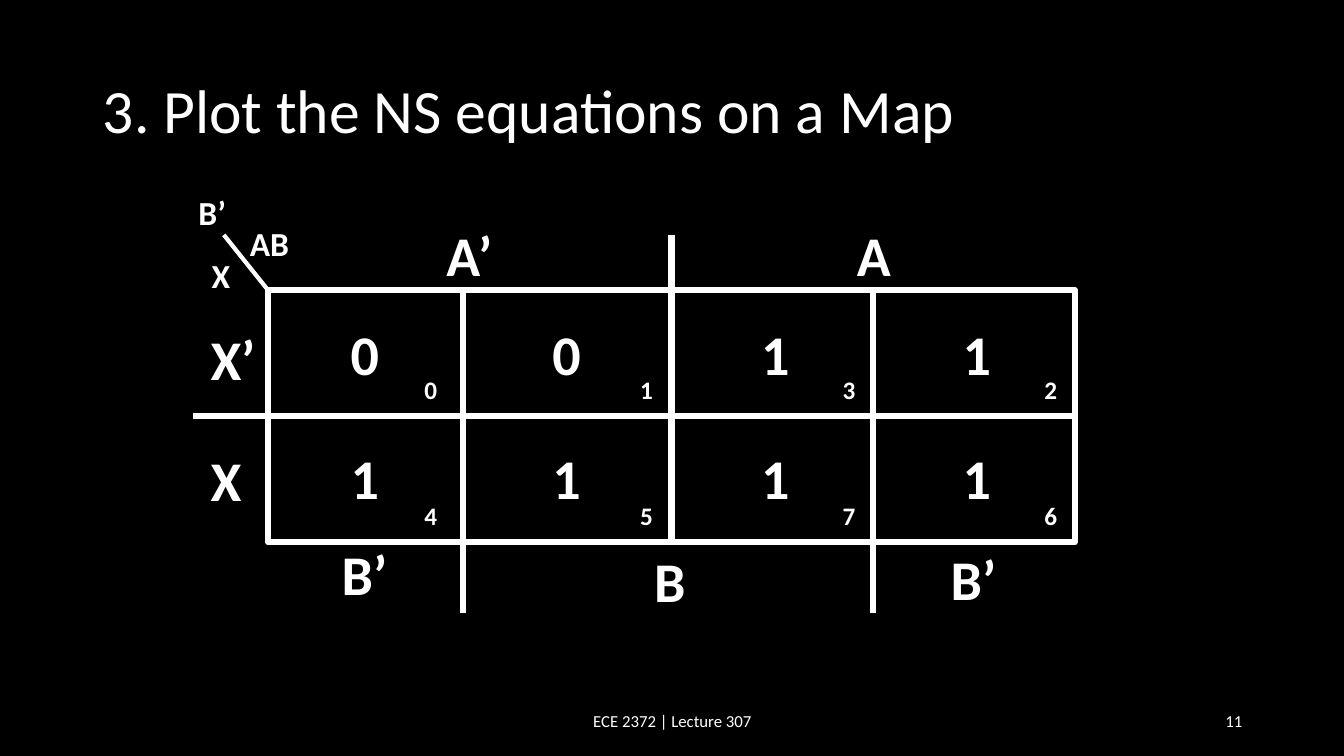
from lxml import etree
from pptx import Presentation
from pptx.dml.color import RGBColor
from pptx.enum import shapes, text
from pptx.oxml.ns import qn
from pptx.util import Inches, Pt

FONT = "Calibri"
BLACK = "000000"
WHITE = "FFFFFF"

MAP_LEFT, MAP_TOP, MAP_WIDTH, MAP_HEIGHT = 2.66, 2.88, 8, 2.5
MAP_RIGHT, MAP_BOTTOM = MAP_LEFT + MAP_WIDTH, MAP_TOP + MAP_HEIGHT
MAP_CENTER, MAP_MIDDLE = MAP_LEFT + MAP_WIDTH / 2, MAP_TOP + MAP_HEIGHT / 2

VALUE_SIZE, INDEX_SIZE, CORNER_SIZE = 40, 18, 24
BOX_HEIGHT = {VALUE_SIZE: 0.77, INDEX_SIZE: 0.4, CORNER_SIZE: 0.5}

VALUE_LEFTS, VALUE_TOPS = (3.38, 5.38, 7.45, 9.45), (3.12, 4.35)
INDEX_LEFTS, INDEX_TOPS = (4.11, 6.25, 8.26, 10.26), (3.66, 4.91)
CELLS = (  # (next state, minterm index) for each cell
    (("0", "0"), ("0", "1"), ("1", "3"), ("1", "2")),
    (("1", "4"), ("1", "5"), ("1", "7"), ("1", "6")),
)
AXIS_LABELS = (
    ("A’", 4.33, 2.14, 0.66), ("A", 8.4, 2.14, 0.54),
    ("X’", 1.99, 3.17, 0.65), ("X", 1.99, 4.37, 0.51),
    ("B’", 3.29, 5.3, 0.66), ("B", 6.39, 5.37, 0.52), ("B’", 9.33, 5.35, 0.66),
)
CORNER_LABELS = (("B’", 1.87, 1.85, 0.48), ("X", 2, 2.48, 0.39), ("AB", 2.38, 2.16, 0.59))


def color(hex_code):
    return RGBColor.from_string(hex_code)


def write(frame, words, size, align, bold=False):
    frame.text = words
    paragraph = frame.paragraphs[0]
    paragraph.alignment = align
    font = paragraph.font
    font.name, font.size, font.bold = FONT, Pt(size), bold
    font.color.rgb = color(WHITE)


def add_title(slide, words):
    title = slide.shapes.title
    title.left, title.top = Inches(0.92), Inches(0.4)
    title.width, title.height = Inches(11.5), Inches(1.45)
    title.text_frame.vertical_anchor = text.MSO_ANCHOR.MIDDLE
    write(title.text_frame, words, 44, text.PP_ALIGN.LEFT)
    title.text_frame.paragraphs[0].line_spacing = 0.9


def add_footer(slide, words, left, width, align):
    footer = slide.shapes.add_textbox(Inches(left), Inches(6.95), Inches(width), Inches(0.4))
    footer.text_frame.word_wrap = True
    footer.text_frame.vertical_anchor = text.MSO_ANCHOR.MIDDLE
    write(footer.text_frame, words, 12, align)


def add_label(group, words, left, top, width, size):
    label = group.shapes.add_textbox(
        Inches(left), Inches(top), Inches(width), Inches(BOX_HEIGHT[size]))
    label.text_frame.word_wrap = False
    label.text_frame.auto_size = text.MSO_AUTO_SIZE.SHAPE_TO_FIT_TEXT
    write(label.text_frame, words, size, text.PP_ALIGN.LEFT, bold=True)


def add_outline(group):
    outline = group.shapes.add_shape(
        shapes.MSO_SHAPE.RECTANGLE,
        Inches(MAP_LEFT), Inches(MAP_TOP), Inches(MAP_WIDTH), Inches(MAP_HEIGHT))
    outline.shadow.inherit = False
    outline.fill.background()
    outline.line.color.rgb = color(WHITE)
    outline.line.width = Pt(4.5)
    return outline


def add_line(group, x1, y1, x2, y2, weight=4.5):
    line = group.shapes.add_connector(
        shapes.MSO_CONNECTOR.STRAIGHT, Inches(x1), Inches(y1), Inches(x2), Inches(y2))
    line.line.color.rgb = color(WHITE)
    line.line.width = Pt(weight)
    etree.SubElement(line._element.spPr, qn("a:effectLst"))
    return line


def add_grid(group):
    outline = add_outline(group)
    a_divider = add_line(group, MAP_CENTER, 2.33, MAP_CENTER, MAP_BOTTOM)
    a_divider.end_connect(outline, 2)
    x_divider = add_line(group, 1.91, MAP_MIDDLE, MAP_RIGHT, MAP_MIDDLE)
    x_divider.end_connect(outline, 3)
    for b_divider in (4.59, 8.66):
        add_line(group, b_divider, MAP_TOP, b_divider, 6.08)
    add_line(group, MAP_LEFT, MAP_TOP, 2.22, 2.33, weight=3)


def add_karnaugh_map(slide):
    group = slide.shapes.add_group_shape()
    add_grid(group)
    for label in CORNER_LABELS:
        add_label(group, *label, CORNER_SIZE)
    for label in AXIS_LABELS:
        add_label(group, *label, VALUE_SIZE)
    for row, value_top, index_top in zip(CELLS, VALUE_TOPS, INDEX_TOPS):
        for (value, index), value_left, index_left in zip(row, VALUE_LEFTS, INDEX_LEFTS):
            add_label(group, value, value_left, value_top, 0.49, VALUE_SIZE)
            add_label(group, index, index_left, index_top, 0.33, INDEX_SIZE)


def main():
    deck = Presentation()
    deck.slide_width, deck.slide_height = Inches(13.33), Inches(7.5)
    slide = deck.slides.add_slide(deck.slide_layouts[5])
    slide.background.fill.solid()
    slide.background.fill.fore_color.rgb = color(BLACK)
    add_title(slide, "3. Plot the NS equations on a Map")
    add_footer(slide, "ECE 2372 | Lecture 307", 4.42, 4.5, text.PP_ALIGN.CENTER)
    add_footer(slide, "11", 9.42, 3, text.PP_ALIGN.RIGHT)
    add_karnaugh_map(slide)
    deck.save("out.pptx")


if __name__ == "__main__":
    main()
